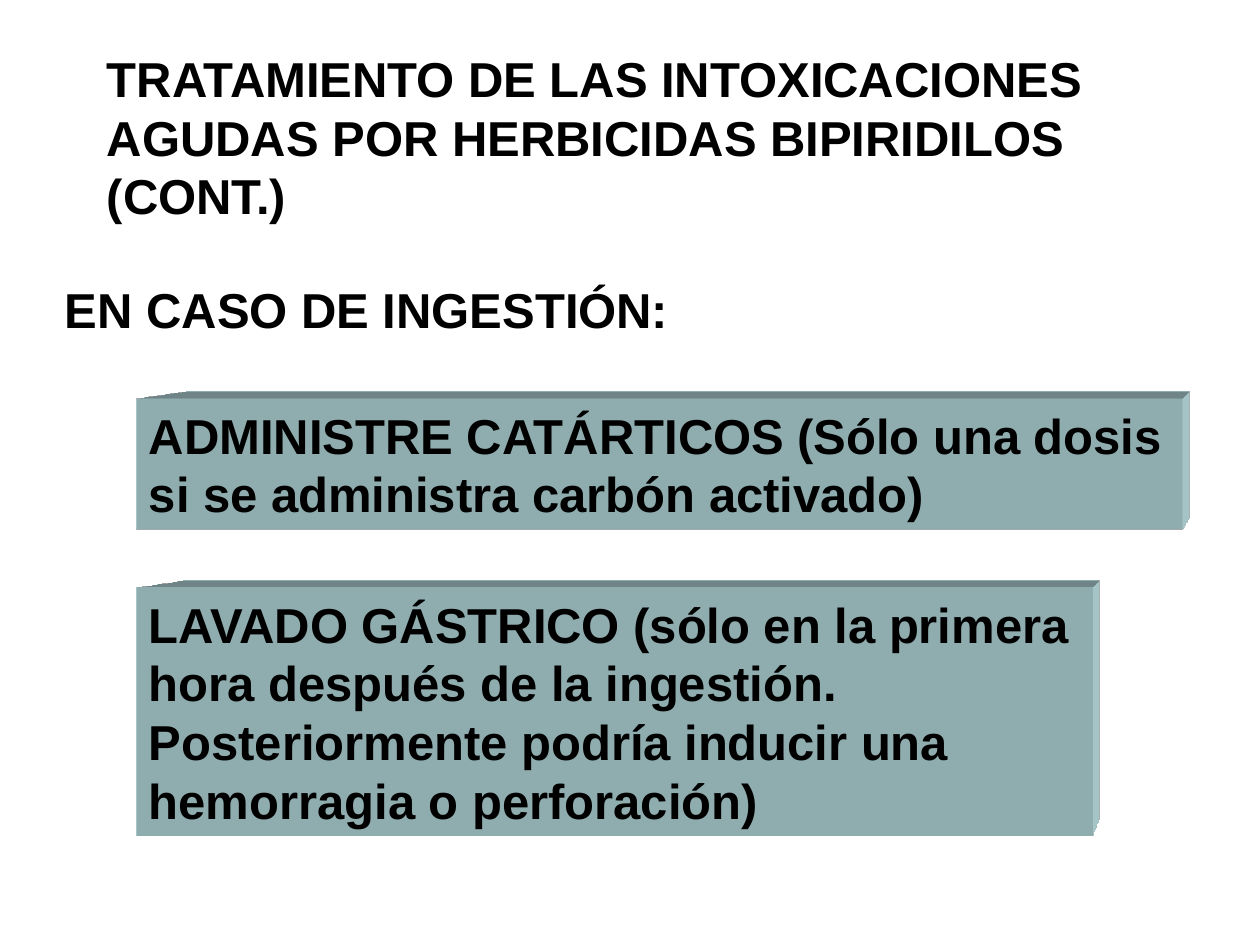
from lxml.etree import fromstring
from pptx import Presentation
from pptx.dml.color import RGBColor
from pptx.enum.shapes import MSO_SHAPE as Shape
from pptx.enum.text import MSO_ANCHOR as Anchor, MSO_AUTO_SIZE as Fit, PP_ALIGN as Align
from pptx.util import Pt

BLACK = RGBColor(0x00, 0x00, 0x00)
AQUA = RGBColor(0xBB, 0xE0, 0xE3)

# Depth of the blocks: a perspective view and an extrusion in the fill colour
NS = 'xmlns:a="http://schemas.openxmlformats.org/drawingml/2006/main"'
SCENE = f'''<a:scene3d {NS}><a:camera prst="legacyPerspectiveTopRight"/>
<a:lightRig rig="legacyFlat3" dir="b"/></a:scene3d>'''
SOLID = f'''<a:sp3d {NS} extrusionH="430200" prstMaterial="legacyMatte">
<a:bevelT w="13500" h="13500" prst="angle"/>
<a:bevelB w="13500" h="13500" prst="angle"/>
<a:extrusionClr><a:srgbClr val="{AQUA}"/></a:extrusionClr></a:sp3d>'''


def write(frame, lines, font="Arial", size=28, color=BLACK, bold=True):
    frame.word_wrap = False
    frame.auto_size = Fit.SHAPE_TO_FIT_TEXT
    frame.vertical_anchor = Anchor.TOP
    for i, line in enumerate(lines):
        para = frame.paragraphs[0] if i == 0 else frame.add_paragraph()
        para.alignment = Align.LEFT
        run = para.add_run()
        run.text = line
        run.font.name, run.font.size = font, Pt(size)
        run.font.bold, run.font.color.rgb = bold, color


class Page:
    def __init__(self, slide, fill=AQUA):
        self.shapes = slide.shapes
        self.fill = fill

    def text(self, x, y, w, h, lines):
        box = self.shapes.add_textbox(Pt(x), Pt(y), Pt(w), Pt(h))
        write(box.text_frame, lines)

    def block(self, x, y, w, h, lines):
        box = self.shapes.add_shape(Shape.RECTANGLE, Pt(x), Pt(y), Pt(w), Pt(h))
        box.fill.solid()
        box.fill.fore_color.rgb = self.fill
        box.line.fill.background()
        box.shadow.inherit = False
        for part in (SCENE, SOLID):
            box.element.spPr.append(fromstring(part))
        write(box.text_frame, lines)


deck = Presentation()
deck.slide_width, deck.slide_height = Pt(720), Pt(540)
page = Page(deck.slides.add_slide(deck.slide_layouts[6]))

# Headings
page.text(54, 24, 578, 108, [
    "TRATAMIENTO DE LAS INTOXICACIONES",
    "AGUDAS POR HERBICIDAS BIPIRIDILOS",
    "(CONT.)"])
page.text(30, 156, 363, 41, ["EN CASO DE INGESTIÓN:"])

# Measures
page.block(78, 228, 597, 74.5, [
    "ADMINISTRE CATÁRTICOS (Sólo una dosis",
    "si se administra carbón activado)"])
page.block(78, 336, 546, 141.5, [
    "LAVADO GÁSTRICO (sólo en la primera",
    "hora después de la ingestión.",
    "Posteriormente podría inducir una",
    "hemorragia o perforación)"])

deck.save("out.pptx")
